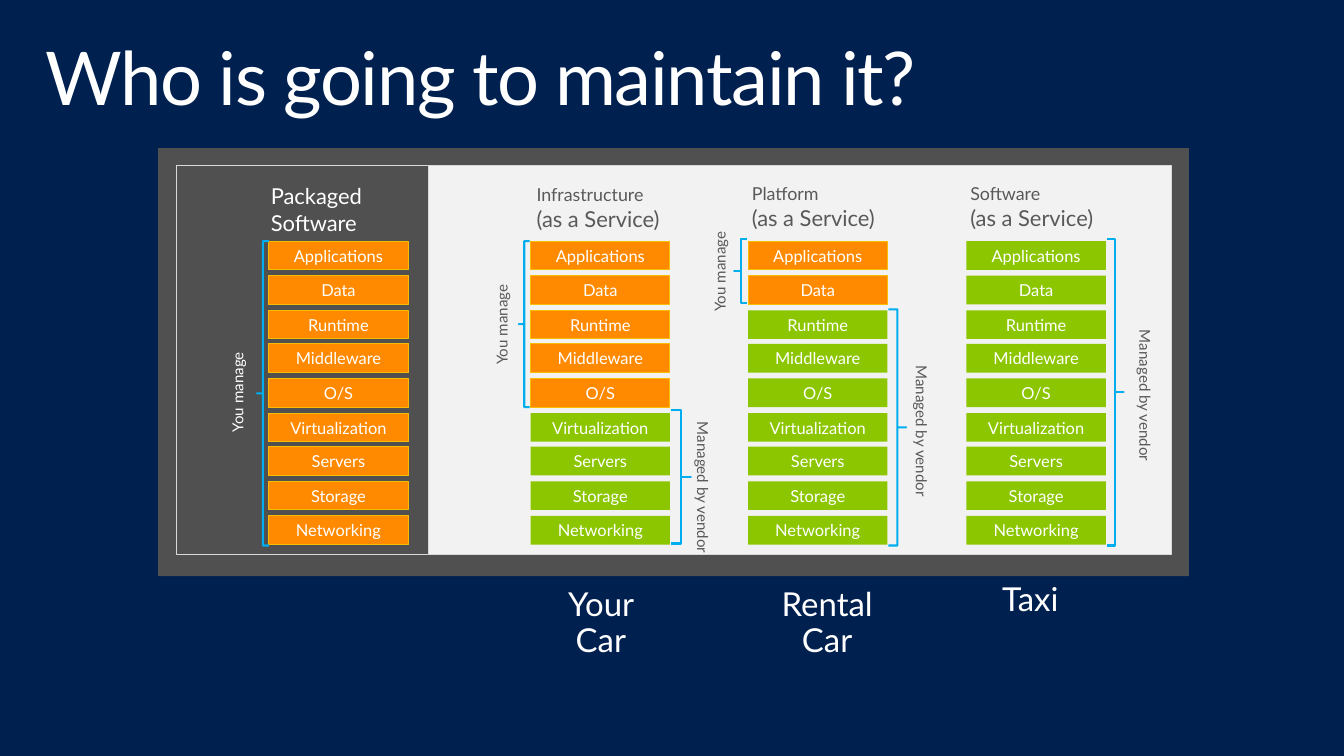
from dataclasses import dataclass

from pptx import Presentation
from pptx import util as u
from pptx.dml.color import RGBColor
from pptx.enum import shapes, text

NAVY = RGBColor(0x00, 0x20, 0x50)
CHARCOAL = RGBColor(0x50, 0x50, 0x50)
PALE = RGBColor(0xF2, 0xF2, 0xF2)
RULE = RGBColor(0xD9, 0xD9, 0xD9)
ORANGE = RGBColor(0xFF, 0x8A, 0x00)
AMBER = RGBColor(0xF9, 0xBC, 0x00)
GREEN = RGBColor(0x8C, 0xC6, 0x00)
CYAN = RGBColor(0x00, 0xAE, 0xEF)
GREY = RGBColor(0x59, 0x59, 0x59)
WHITE = RGBColor(0xFF, 0xFF, 0xFF)

PX = u.Inches(1) // 100
FONT = "Lato"
LAYERS = ["Applications", "Data", "Runtime", "Middleware", "O/S",
          "Virtualization", "Servers", "Storage", "Networking"]
LAYER_SIZE = (141, 29)
LAYER_SPAN = 278
SHAPE = shapes.MSO_SHAPE
ALIGN = text.PP_ALIGN
ANCHOR = text.MSO_ANCHOR


@dataclass
class Brace:
    """A bracket and its sideways label, both relative to the column."""
    label: str
    box: tuple
    label_box: tuple


@dataclass
class Column:
    """One delivery model; the first own_layers layers are yours to manage."""
    left: int
    heading: list
    sizes: list
    heading_box: tuple
    heading_inset: int
    own_layers: int
    braces: list
    color: RGBColor = GREY
    label_anchor: ANCHOR = ANCHOR.TOP


COLUMNS = [
    Column(272, ["Packaged Software"], [16], (2, -59, 161, 49), 0, 9,
           [Brace("You manage", (-12, 0, 12, 308), (-46, 105, 39, 96))],
           color=WHITE),
    Column(537, ["Infrastructure", "(as a Service)"], [13, 16],
           (-2, -58, 182, 49), 8, 5,
           [Brace("You manage", (-12, 0, 11, 168), (-47, 42, 35, 85)),
            Brace("Managed by vendor", (142, 171, 20, 135), (157, 173, 35, 133))],
           label_anchor=ANCHOR.MIDDLE),
    Column(757, ["Platform", "(as a Service)"], [13, 16],
           (-6, -59, 172, 49), 10, 2,
           [Brace("You manage", (-14, -2, 13, 65), (-43, -17, 39, 96)),
            Brace("Managed by vendor", (142, 69, 18, 239), (151, 116, 39, 148))]),
    Column(978, ["Software", "(as a Service)"], [13, 16],
           (-6, -59, 175, 49), 10, 0,
           [Brace("Managed by vendor", (142, -2, 17, 310), (156, 80, 39, 148))]),
]
ANALOGIES = [
    ("Your Car", (554, 579, 108, 105), ALIGN.CENTER),
    ("Rental Car", (768, 579, 138, 105), ALIGN.CENTER),
    ("Taxi", (994, 574, 108, 69), ALIGN.LEFT),
]


def scaled(box):
    """Turn px lengths into EMU."""
    return [length * PX for length in box]


def moved(box, left, top):
    """Shift a relative box to its place on the page."""
    return (box[0] + left, box[1] + top, box[2], box[3])


def write(shape, lines, sizes, color, inset=(10, 5), align=ALIGN.LEFT,
          anchor=ANCHOR.TOP, spacing=None):
    """Fill a shape with one paragraph per line and return its frame."""
    frame = shape.text_frame
    frame.word_wrap = True
    frame.vertical_anchor = anchor
    frame.margin_left = frame.margin_right = inset[0] * PX
    frame.margin_top = frame.margin_bottom = inset[1] * PX
    frame.text = "\n".join(lines)
    for para, size in zip(frame.paragraphs, sizes):
        para.alignment = align
        para.line_spacing = spacing
        for span in para.runs:
            span.font.name = FONT
            span.font.size = u.Pt(size)
            span.font.color.rgb = color
    return frame


def add_block(page, kind, box, fill=None, line=None, width=0.75):
    """Add a flat preset shape."""
    shape = page.shapes.add_shape(kind, *scaled(box))
    shape.shadow.inherit = False
    if fill is None:
        shape.fill.background()
    else:
        shape.fill.solid()
        shape.fill.fore_color.rgb = fill
    if line is None:
        shape.line.fill.background()
    else:
        shape.line.color.rgb = line
        shape.line.width = u.Pt(width)
    return shape


def add_title(page, box):
    """Add the tightly spaced slide title."""
    frame = write(page.shapes.add_textbox(*scaled(box)),
                  ["Who is going to maintain it?"], [54], WHITE,
                  inset=(16, 10), spacing=0.9)
    frame.paragraphs[0].runs[0].font._element.set("spc", "-100")


def add_brace(page, brace, column, top):
    """Add a square bracket and the sideways label beside it."""
    on_left = brace.box[0] < 0
    kind = SHAPE.LEFT_BRACE if on_left else SHAPE.RIGHT_BRACE
    bracket = add_block(page, kind, moved(brace.box, column.left, top),
                        line=CYAN, width=1.5)
    bracket.adjustments[0] = 0
    bracket.adjustments[1] = 0.5
    box = page.shapes.add_textbox(*scaled(moved(brace.label_box, column.left, top)))
    frame = write(box, [brace.label], [11], column.color,
                  align=ALIGN.CENTER, anchor=column.label_anchor)
    frame.word_wrap = False
    frame._txBody.bodyPr.set("vert", "vert270" if on_left else "eaVert")


def add_column(page, column, top):
    """Add a heading, the stack of layers and the brackets of one model."""
    heading = page.shapes.add_textbox(
        *scaled(moved(column.heading_box, column.left, top)))
    write(heading, column.heading, column.sizes, column.color,
          inset=(column.heading_inset, 0))
    for row, layer in enumerate(LAYERS):
        own = row < column.own_layers
        offset = round(row * LAYER_SPAN / (len(LAYERS) - 1))
        block = add_block(page, SHAPE.RECTANGLE,
                          (column.left, top + offset, *LAYER_SIZE),
                          ORANGE if own else GREEN, AMBER if own else None)
        write(block, [layer], [12], WHITE, inset=(0, 4),
              align=ALIGN.CENTER, anchor=ANCHOR.MIDDLE)
    for brace in column.braces:
        add_brace(page, brace, column, top)


def add_comparison(page, box):
    """Add the framed panel with the four delivery models."""
    left, top, _, _ = box
    add_block(page, SHAPE.RECTANGLE, box, CHARCOAL)
    add_block(page, SHAPE.RECTANGLE, (left + 274, top + 18, 751, 393), PALE, RULE)
    for column in COLUMNS:
        add_column(page, column, top + 94)
    add_block(page, SHAPE.RECTANGLE, (left + 19, top + 18, 255, 393), line=RULE)


def add_analogies(page):
    """Add the car comparison under each service model."""
    for name, box, align in ANALOGIES:
        write(page.shapes.add_textbox(*scaled(box)), [name], [24], WHITE,
              inset=(20, 16), align=align, spacing=0.9)


def main():
    """Build and save the slide."""
    deck = Presentation()
    deck.slide_width, deck.slide_height = scaled((1360, 765))
    page = deck.slides.add_slide(deck.slide_layouts[6])
    page.background.fill.solid()
    page.background.fill.fore_color.rgb = NAVY
    add_title(page, (30, 32, 1300, 100))
    add_comparison(page, (160, 150, 1043, 433))
    add_analogies(page)
    deck.save("out.pptx")


if __name__ == "__main__":
    main()
